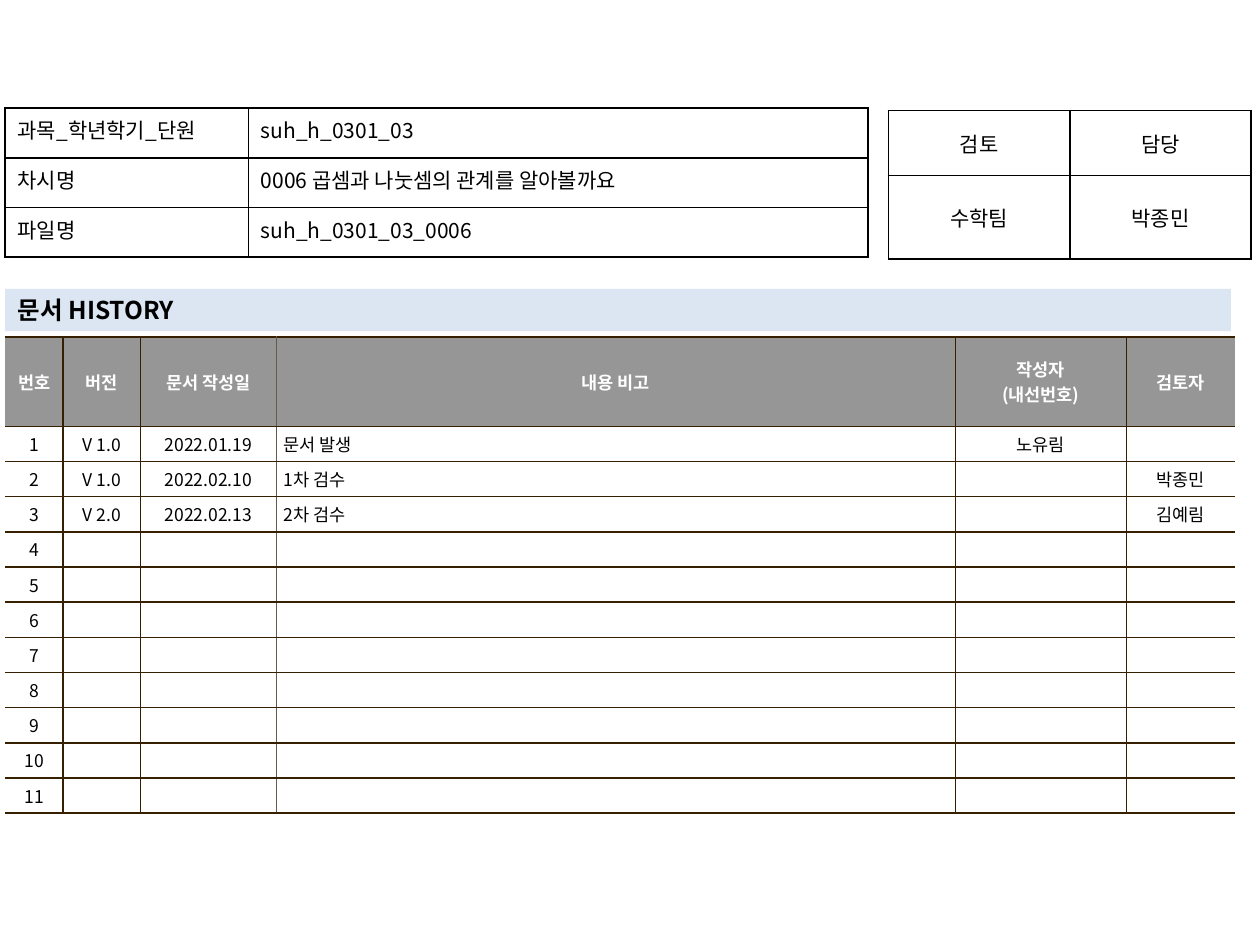
from lxml import etree
from pptx import Presentation
from pptx.dml.color import RGBColor
from pptx.enum.text import MSO_ANCHOR, MSO_AUTO_SIZE, PP_ALIGN
from pptx.oxml.ns import qn
from pptx.util import Pt

LEFT, CENTER, JUSTIFY = PP_ALIGN.LEFT, PP_ALIGN.CENTER, PP_ALIGN.JUSTIFY
TOP, MIDDLE = MSO_ANCHOR.TOP, MSO_ANCHOR.MIDDLE
FONT = "Noto Sans CJK KR"
COLORS = {
    "text": "000000",
    "white": "FFFFFF",
    "band": "DCE6F2",
    "header": "969696",
    "rule": "362000",
    "date_rule": "645B4C",
}


def format_text(text_frame, size, color, bold, alignment):
    for paragraph in text_frame.paragraphs:
        paragraph.alignment = alignment
        for run in paragraph.runs:
            run.font.size = Pt(size)
            run.font.bold = bold
            run.font.color.rgb = RGBColor.from_string(COLORS[color])
            run.font.name = FONT
            etree.SubElement(run.font._element, qn("a:ea"), typeface=FONT)
        if not paragraph.runs:
            # An empty cell keeps its row height through its end mark
            paragraph._p.get_or_add_endParaRPr().set("sz", str(size * 100))


def add_grid(left, top, widths, heights, rows, margins, borders):
    """Add a plain table; borders(column) gives its left, right, top, bottom colours."""
    frame = slide.shapes.add_table(len(heights), len(widths), Pt(left), Pt(top),
                                   Pt(sum(widths)), Pt(sum(heights)))
    table = frame.table
    table.first_row = table.horz_banding = False
    for column, width in zip(table.columns, widths):
        column.width = Pt(width)
    for row, height, texts in zip(table.rows, heights, rows):
        row.height = Pt(height)
        for index, (cell, text) in enumerate(zip(row.cells, texts)):
            cell.text_frame.text = text
            cell.margin_left = cell.margin_right = Pt(margins[0])
            cell.margin_top = cell.margin_bottom = Pt(margins[1])
            properties = cell._tc.get_or_add_tcPr()
            for side, color in zip("LRTB", borders(index)):
                line = etree.SubElement(properties, qn(f"a:ln{side}"), w=str(Pt(1)))
                if color:
                    fill = etree.SubElement(line, qn("a:solidFill"))
                    etree.SubElement(fill, qn("a:srgbClr"), val=COLORS[color])
                else:
                    etree.SubElement(line, qn("a:noFill"))
            cell.fill.background()
    return table


def_black = ("text",) * 4
presentation = Presentation()
presentation.slide_width, presentation.slide_height = Pt(720), Pt(540)
slide = presentation.slides.add_slide(presentation.slide_layouts[5])

# Section title band
title = slide.shapes.title
title.left, title.top, title.width, title.height = Pt(2.9), Pt(165), Pt(700.5), Pt(24.3)
title.fill.solid()
title.fill.fore_color.rgb = RGBColor.from_string(COLORS["band"])
title.text_frame.text = "문서 HISTORY"
title.text_frame.word_wrap = True
title.text_frame.auto_size = MSO_AUTO_SIZE.NONE
title.text_frame.vertical_anchor = MIDDLE
format_text(title.text_frame, 14, "text", True, LEFT)

# Document details
details = add_grid(2.9, 61.8, [139, 354.2], [28.4] * 3, [
    ("과목_학년학기_단원", "suh_h_0301_03"),
    ("차시명", "0006 곱셈과 나눗셈의 관계를 알아볼까요"),
    ("파일명", "suh_h_0301_03_0006"),
], (7.2, 3.6), lambda column: def_black)
for row in details.rows:
    for cell, alignment in zip(row.cells, (JUSTIFY, LEFT)):
        cell.vertical_anchor = TOP
        format_text(cell.text_frame, 12, "text", False, alignment)

# Review and owner
review = add_grid(507.6, 63.2, [103.7] * 2, [37, 47.8], [
    ("검토", "담당"),
    ("수학팀", "박종민"),
], (7.2, 3.6), lambda column: def_black)
for cell in review.iter_cells():
    cell.vertical_anchor = MIDDLE
    format_text(cell.text_frame, 12, "text", False, CENTER)

# Document history: open at both sides, lighter rule after the date column
entries = [
    ("V 1.0", "2022.01.19", "문서 발생", "노유림", ""),
    ("V 1.0", "2022.02.10", "1차 검수", "", "박종민"),
    ("V 2.0", "2022.02.13", "2차 검수", "", "김예림"),
]
entries += [("",) * 5] * (11 - len(entries))
history_rows = [("번호", "버전", "문서 작성일", "내용 비고", "작성자\n(내선번호)", "검토자")]
history_rows += [(str(number), *entry) for number, entry in enumerate(entries, 1)]
vertical_rules = [None, "rule", "rule", "date_rule", "rule", "rule", None]
history = add_grid(
    2.9, 192.7, [33.2, 44.2, 77.7, 388, 97.7, 62.3], [50.9] + [20.1] * 11,
    history_rows, (4.1, 2.6),
    lambda column: (*vertical_rules[column:column + 2], "rule", "rule"))
for row_index, row in enumerate(history.rows):
    is_header = row_index == 0
    for column_index, cell in enumerate(row.cells):
        cell.vertical_anchor = MIDDLE
        cell.fill.solid()
        cell.fill.fore_color.rgb = RGBColor.from_string(
            COLORS["header" if is_header else "white"])
        is_note = column_index == 3 and not is_header
        format_text(cell.text_frame, 10, "white" if is_header else "text",
                    is_header, LEFT if is_note else CENTER)

presentation.save("out.pptx")
